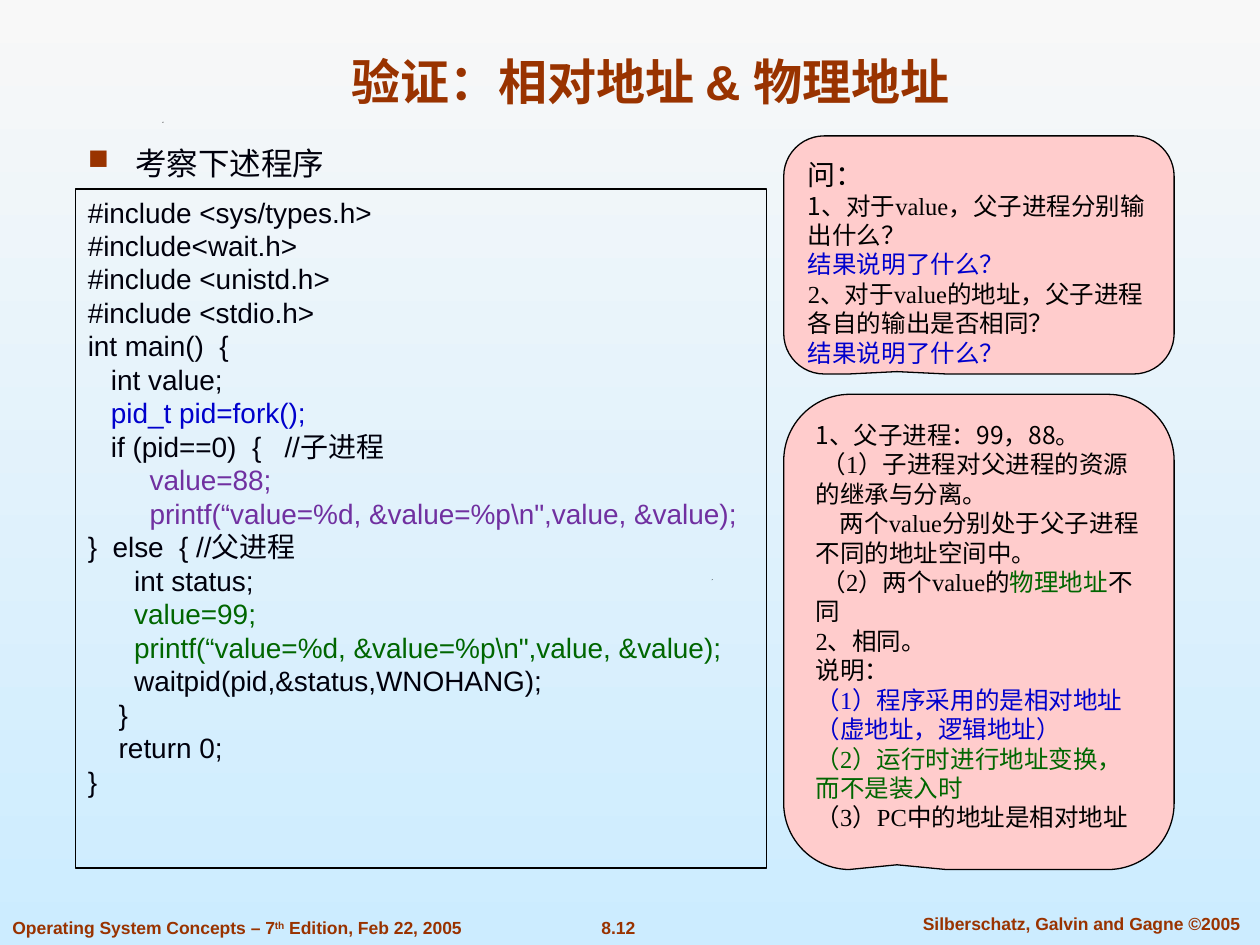
from lxml import etree
from pptx import Presentation
from pptx.dml.color import RGBColor
from pptx.enum.shapes import MSO_SHAPE
from pptx.enum.text import MSO_ANCHOR, PP_ALIGN
from pptx.oxml.ns import qn
from pptx.util import Cm, Pt

RECT, CALL = MSO_SHAPE.RECTANGLE, MSO_SHAPE.ROUNDED_RECTANGULAR_CALLOUT
LEFT, MID = PP_ALIGN.LEFT, PP_ALIGN.CENTER
TOP, BASE = MSO_ANCHOR.TOP, MSO_ANCHOR.BOTTOM

THEME = {
    "ink": "00000C", "black": "000000", "rust": "993300", "blue": "0000CC",
    "plum": "7030A0", "green": "006600", "pink": "FFCCCC",
    "sky": ("F8F8F8", "CCECFF"),
    "sans": "Arial", "serif": "Times New Roman", "cjk": "Noto Sans CJK SC",
    "title": 28, "body": 18, "code": 16, "ask": 16, "note": 14, "foot": 10,
}

TITLE = "验证：相对地址 & 物理地址"
LEAD = "考察下述程序"
CODE = [
    ("#include <sys/types.h>", "ink"),
    ("#include<wait.h>", "ink"),
    ("#include <unistd.h>", "ink"),
    ("#include <stdio.h>", "ink"),
    ("int main()  {", "ink"),
    ("   int value;", "ink"),
    ("   pid_t pid=fork();", "blue"),
    ("   if (pid==0)  {   //子进程", "ink"),
    ("        value=88;", "plum"),
    ("        printf(“value=%d, &value=%p\\n\",value, &value);", "plum"),
    ("}  else  { //父进程", "ink"),
    ("      int status;", "ink"),
    ("      value=99;", "green"),
    ("      printf(“value=%d, &value=%p\\n\",value, &value);", "green"),
    ("      waitpid(pid,&status,WNOHANG);", "ink"),
    ("    }", "ink"),
    ("    return 0;", "ink"),
    ("}", "ink"),
]
ASK = [
    {"runs": [("问：", {"face": "cjk", "size": "ask"})], "lead": 21},
    {"runs": [("1、", {"face": "cjk"}), ("对于value，父子进程分别输出什么？", {})]},
    {"runs": [("结果说明了什么？", {"hue": "blue"})]},
    {"runs": [("2、对于value的地址，父子进程各自的输出是否相同？", {})]},
    {"runs": [("结果说明了什么？", {"hue": "blue"})]},
]
REPLY = [
    {"runs": [("1、父子进程：99，88。", {"face": "cjk"})]},
    {"runs": [("（1）子进程对父进程的资源的继承与分离。", {})], "dent": 0.12},
    {"runs": [("两个value分别处于父子进程不同的地址空间中。", {})], "dent": 0.49},
    {"runs": [("（2）两个value的", {}), ("物理地址", {"hue": "green"}),
              ("不同", {})], "dent": 0.12},
    {"runs": [("2、相同。", {})]},
    {"runs": [("说明：", {})]},
    {"runs": [("（1）程序采用的是相对地址（虚地址，逻辑地址）", {"hue": "blue"})]},
    {"runs": [("（2）运行时进行地址变换，而不是装入时", {"hue": "green"})]},
    {"runs": [("（3）PC中的地址是相对地址", {})]},
]
FEET = [
    ([("Operating System Concepts – 7", {}), ("th", {"rise": 30000}),
      (" Edition, Feb 22, 2005", {})], (0, 18.36, 10.69, 0.69), LEFT),
    ([("8.12", {})], (11.79, 18.36, 1.35, 0.69), MID),
    ([("Silberschatz, Galvin and Gagne ©2005", {})],
     (18.03, 18.29, 7.54, 0.69), MID),
]
CARDS = [(ASK, 2.74, 4.8), (REPLY, 7.95, 9.58)]
DOTS = [(3.28, 2.46), (14.35, 11.68)]


def tint(name):
    return RGBColor.from_string(THEME.get(name, name))


def write(shape, paras, face="sans", size="body", hue="ink", bold=False,
          align=LEFT, anchor=TOP, lead=None, mark=None):
    frame = shape.text_frame
    frame.word_wrap = True
    frame.vertical_anchor = anchor
    for at, item in enumerate(paras):
        para = frame.add_paragraph() if at else frame.paragraphs[0]
        para.alignment = align
        gap = item.get("lead", lead)
        if gap:
            para.line_spacing = Pt(gap)
        props = para._p.get_or_add_pPr()
        if "dent" in item:
            props.set("indent", str(Cm(item["dent"])))
        if mark:
            props.set("marL", str(Cm(0.96)))
            props.set("indent", str(Cm(-0.96)))
            tone = etree.SubElement(props, qn("a:buClr"))
            etree.SubElement(tone, qn("a:srgbClr")).set("val", THEME["rust"])
            etree.SubElement(props, qn("a:buSzPct")).set("val", "90000")
            etree.SubElement(props, qn("a:buChar")).set("char", mark)
        for words, look in item["runs"]:
            run = para.add_run()
            run.text = words
            font = run.font
            font.name = THEME[look.get("face", face)]
            font.size = Pt(THEME[look.get("size", size)])
            font.bold = bold
            font.color.rgb = tint(look.get("hue", hue))
            prop = run._r.get_or_add_rPr()
            etree.SubElement(prop, qn("a:ea")).set("typeface", THEME["cjk"])
            if "rise" in look:
                prop.set("baseline", str(look["rise"]))


def place(slide, box, kind=None, fill=None):
    spots = [Cm(side) for side in box]
    if kind is None:
        return slide.shapes.add_textbox(*spots)
    shape = slide.shapes.add_shape(kind, *spots)
    shape.shadow.inherit = False
    if fill:
        shape.fill.solid()
        shape.fill.fore_color.rgb = tint(fill)
    else:
        shape.fill.background()
    shape.line.color.rgb = tint("black")
    shape.line.width = Pt(0.75)
    return shape


def main():
    deck = Presentation()
    deck.slide_width, deck.slide_height = Cm(25.4), Cm(19.05)
    slide = deck.slides.add_slide(deck.slide_layouts[6])

    back = slide.background.fill
    back.gradient()
    back.gradient_angle = 270
    for stop, hue in zip(back.gradient_stops, THEME["sky"]):
        stop.color.rgb = tint(hue)

    for runs, box, align in FEET:
        write(place(slide, box), [{"runs": runs}], size="foot", hue="rust",
              bold=True, align=align)

    for x, y in DOTS:
        path = slide.shapes.build_freeform(Cm(x), Cm(y))
        path.add_line_segments([(Cm(x + 0.02), Cm(y)), (Cm(x), Cm(y + 0.02))])
        dot = path.convert_to_shape()
        dot.shadow.inherit = False
        dot.fill.solid()
        dot.fill.fore_color.rgb = tint("black")
        dot.line.fill.background()

    write(place(slide, (1.9, 0.64, 22.43, 1.7)), [{"runs": [(TITLE, {})]}],
          size="title", hue="rust", bold=True, align=MID, anchor=BASE)
    write(place(slide, (1.52, 2.72, 7.54, 1.09)), [{"runs": [(LEAD, {})]}],
          lead=23, mark="■")

    lines = [{"runs": [(words, {"hue": hue})]} for words, hue in CODE]
    write(place(slide, (1.52, 3.81, 13.94, 13.69), RECT), lines,
          size="code", lead=19.15)

    for paras, top, tall in CARDS:
        card = place(slide, (15.8, top, 7.87, tall), CALL, "pink")
        for at, bend in enumerate((-0.21, 0.49, 0.17)):
            card.adjustments[at] = bend
        write(card, paras, face="serif", size="note", hue="black", lead=16.8)

    deck.save("out.pptx")


if __name__ == "__main__":
    main()
